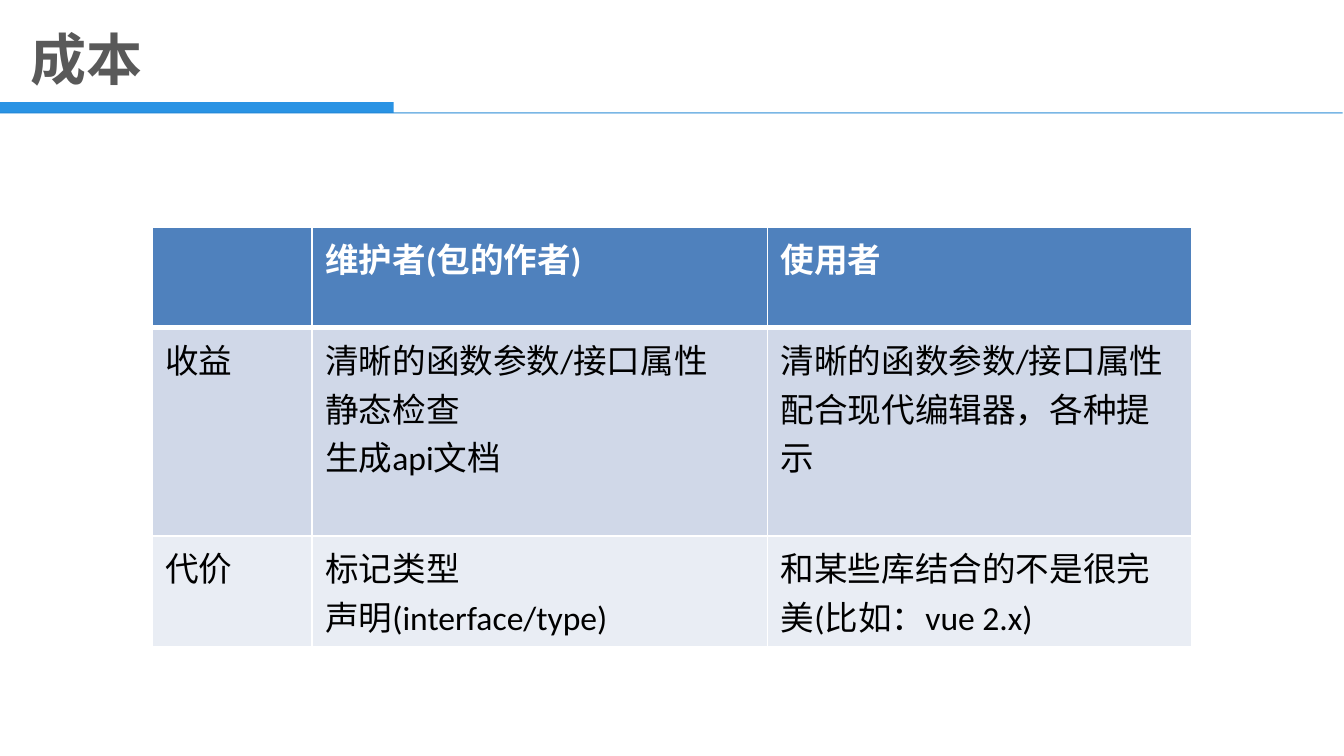
from lxml import etree
from pptx import Presentation
from pptx.dml.color import RGBColor
from pptx.enum.shapes import MSO_CONNECTOR, MSO_SHAPE
from pptx.enum.text import MSO_ANCHOR, PP_ALIGN
from pptx.oxml.ns import qn
from pptx.util import Inches, Pt

RECT = MSO_SHAPE.RECTANGLE
LINE = MSO_CONNECTOR.STRAIGHT
MIDDLE = MSO_ANCHOR.MIDDLE
LEFT = PP_ALIGN.LEFT

# Content
TITLE = "成本"
ROWS = [
    ["", "维护者(包的作者)", "使用者"],
    ["收益", "清晰的函数参数/接口属性\n静态检查\n生成api文档",
     "清晰的函数参数/接口属性\n配合现代编辑器，各种提示"],
    ["代价", "标记类型\n声明(interface/type)", "和某些库结合的不是很完美(比如：vue 2.x)"],
]
WIDTHS = [1.19, 3.39, 3.16]
ROW_H = 0.75
HANS = "Noto Sans CJK SC"
COLORS = {"bar": "2A93E4", "rule": "2287D5", "title": "595959",
          "head": "4F81BD", "odd": "D0D8E8", "even": "E9EDF4",
          "white": "FFFFFF", "black": "000000"}


def color(name):
    return RGBColor.from_string(COLORS[name])


def write(para, text, size, face, ink, bold):
    para.text = text
    para.alignment = LEFT
    for run in para.runs:
        font = run.font
        font.size, font.name, font.bold = Pt(size), face, bold
        font.color.rgb = color(ink)
        # East Asian face follows the Latin one
        east = etree.Element(qn("a:ea"), typeface=HANS)
        run._r.rPr.find(qn("a:latin")).addnext(east)


def border(cell, top, bottom):
    # Borders come before the fill in the cell properties
    props = cell._tc.get_or_add_tcPr()
    sides = [("L", 1), ("R", 1), ("T", top), ("B", bottom)]
    for spot, (side, width) in enumerate(sides):
        edge = etree.Element(qn("a:ln" + side), w=str(Pt(width)))
        fill = etree.SubElement(edge, qn("a:solidFill"))
        etree.SubElement(fill, qn("a:srgbClr"), val=COLORS["white"])
        props.insert(spot, edge)


deck = Presentation()
deck.slide_width = Inches(10)
deck.slide_height = deck.slide_width * 9 // 16
slide = deck.slides.add_slide(deck.slide_layouts[5])
shapes = slide.shapes

# Header bar and thin rule
bar = shapes.add_shape(RECT, 0, Inches(0.76), Inches(2.93), Inches(0.08))
bar.shadow.inherit = False
bar.fill.solid()
bar.fill.fore_color.rgb = color("bar")
bar.line.fill.background()

rule = shapes.add_connector(LINE, 0, Inches(0.84), Inches(9.99), Inches(0.84))
rule.line.width = Pt(0.75)
rule.line.color.rgb = color("rule")
etree.SubElement(rule._element.spPr, qn("a:effectLst"))
tint = rule._element.spPr.find(".//" + qn("a:srgbClr"))
etree.SubElement(tint, qn("a:alpha"), val="60000")

# Title
title = shapes.title
title.left, title.top = Inches(0.13), Inches(0.13)
title.width, title.height = Inches(9), Inches(0.7)
frame = title.text_frame
frame.vertical_anchor = MIDDLE
frame.margin_bottom = Inches(0.14)
write(frame.paragraphs[0], TITLE, 30, HANS, "title", True)

# Table
table = shapes.add_table(
    len(ROWS), len(WIDTHS), Inches(1.13), Inches(1.69),
    Inches(sum(WIDTHS)), Inches(ROW_H * len(ROWS))).table
for col, width in zip(table.columns, WIDTHS):
    col.width = Inches(width)
for r, (row, fill) in enumerate(zip(ROWS, ["head", "odd", "even"])):
    table.rows[r].height = Inches(ROW_H)
    head = r == 0
    for c, text in enumerate(row):
        cell = table.cell(r, c)
        cell.fill.solid()
        cell.fill.fore_color.rgb = color(fill)
        border(cell, 3 if r == 1 else 1, 3 if head else 1)
        write(cell.text_frame.paragraphs[0], text, 18, "Calibri",
              "white" if head else "black", head)

deck.save("out.pptx")
